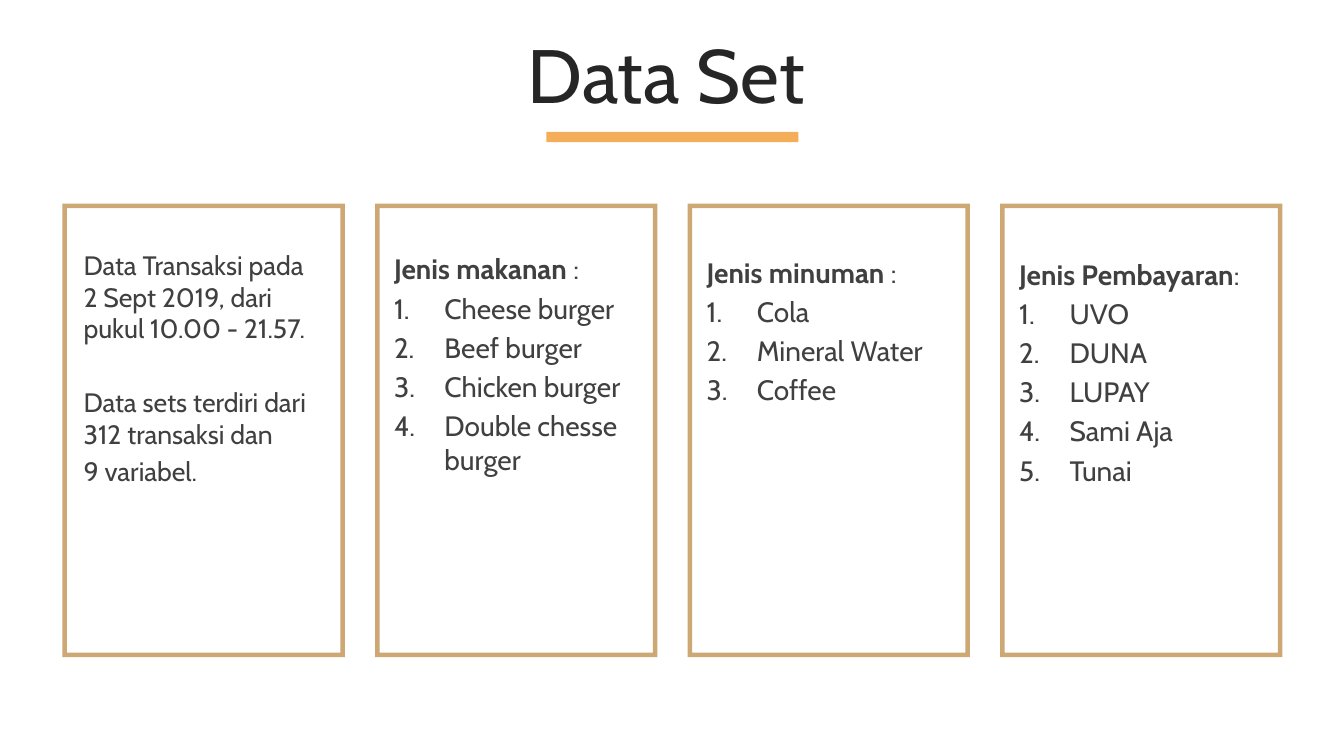
from lxml.etree import SubElement
from pptx import Presentation
from pptx.dml.color import RGBColor
from pptx.enum.shapes import MSO_SHAPE
from pptx.enum.text import MSO_ANCHOR, MSO_AUTO_SIZE, PP_ALIGN
from pptx.oxml.ns import qn
from pptx.util import Inches, Pt

ORANGE = RGBColor(0xF4, 0xAE, 0x59)
TAN = RGBColor(0xCD, 0xA8, 0x74)
DARK = RGBColor(0x26, 0x26, 0x26)
GREY = RGBColor(0x40, 0x40, 0x40)
FONT = "Cabin"


def style(run, size, color, bold=False):
    run.font.name = FONT
    run.font.size = Pt(size)
    run.font.color.rgb = color
    run.font.bold = bold


def block(kind, left, top, width, height, color):
    shape = slide.shapes.add_shape(
        kind, Inches(left), Inches(top), Inches(width), Inches(height))
    shape.shadow.inherit = False
    shape.fill.solid()
    shape.fill.fore_color.rgb = color
    shape.line.fill.background()
    return shape


deck = Presentation()
deck.slide_width, deck.slide_height = Inches(13.33), Inches(7.5)
slide = deck.slides.add_slide(deck.slide_layouts[5])

# Title and its underline
title = slide.shapes.title
title.left, title.top = Inches(0.28), Inches(0.39)
title.width, title.height = Inches(12.66), Inches(0.79)
frame = title.text_frame
frame.text = "Data Set"
frame.auto_size = MSO_AUTO_SIZE.NONE
frame.vertical_anchor = MSO_ANCHOR.MIDDLE
para = frame.paragraphs[0]
para.alignment = PP_ALIGN.CENTER
para.line_spacing = 0.9
para.space_before = Pt(10)
style(para.runs[0], 54, DARK)
block(MSO_SHAPE.RECTANGLE, 5.42, 1.31, 2.5, 0.1, ORANGE)

# Cards: text left, top, width, height, size, heading, colon, lines
cards = [
    (0.73, 2.41, 2.55, 2.48, 19, "", "",
     ["Data Transaksi pada 2 Sept 2019, dari pukul 10.00 - 21.57.",
      "Data sets terdiri dari 312 transaksi dan", "9 variabel."]),
    (3.81, 2.06, 2.73, 3.1, 20, "Jenis makanan", " :",
     ["Cheese burger", "Beef burger", "Chicken burger",
      "Double chesse burger"]),
    (6.91, 2.42, 2.73, 1.72, 20, "Jenis minuman", " :",
     ["Cola", "Mineral Water", "Coffee"]),
    (10.01, 2.54, 2.73, 2.3, 20, "Jenis Pembayaran", ":",
     ["UVO", "DUNA", "LUPAY", "Sami Aja", "Tunai"]),
]
for i, (left, top, width, height, size, head, colon, lines) in enumerate(cards):
    border = block(MSO_SHAPE.FRAME, 0.62 + 3.1 * i, 2.02, 2.8, 4.5, TAN)
    border.adjustments[0] = 0.016

    box = slide.shapes.add_textbox(
        Inches(left), Inches(top), Inches(width), Inches(height))
    frame = box.text_frame
    frame.word_wrap = True
    frame.vertical_anchor = MSO_ANCHOR.MIDDLE
    frame.text = "\n".join([head] + lines if head else lines)
    for para in frame.paragraphs:
        para.space_before = Pt(size * 0.2)
        style(para.runs[0], size, GREY)

    if head:
        # Bold heading over a numbered list
        first, *rest = frame.paragraphs
        first.runs[0].font.bold = True
        mark = first.add_run()
        mark.text = colon
        style(mark, size, GREY)
        for para in rest:
            props = para._p.get_or_add_pPr()
            props.set("marL", str(Inches(0.5)))
            props.set("indent", str(Inches(-0.5)))
            SubElement(props, qn("a:buFont"), typeface="+mj-lt")
            SubElement(props, qn("a:buAutoNum"), type="arabicPeriod")
    else:
        # Wide gap between the two statements
        frame.paragraphs[1].space_before = Pt(30)

deck.save("out.pptx")
